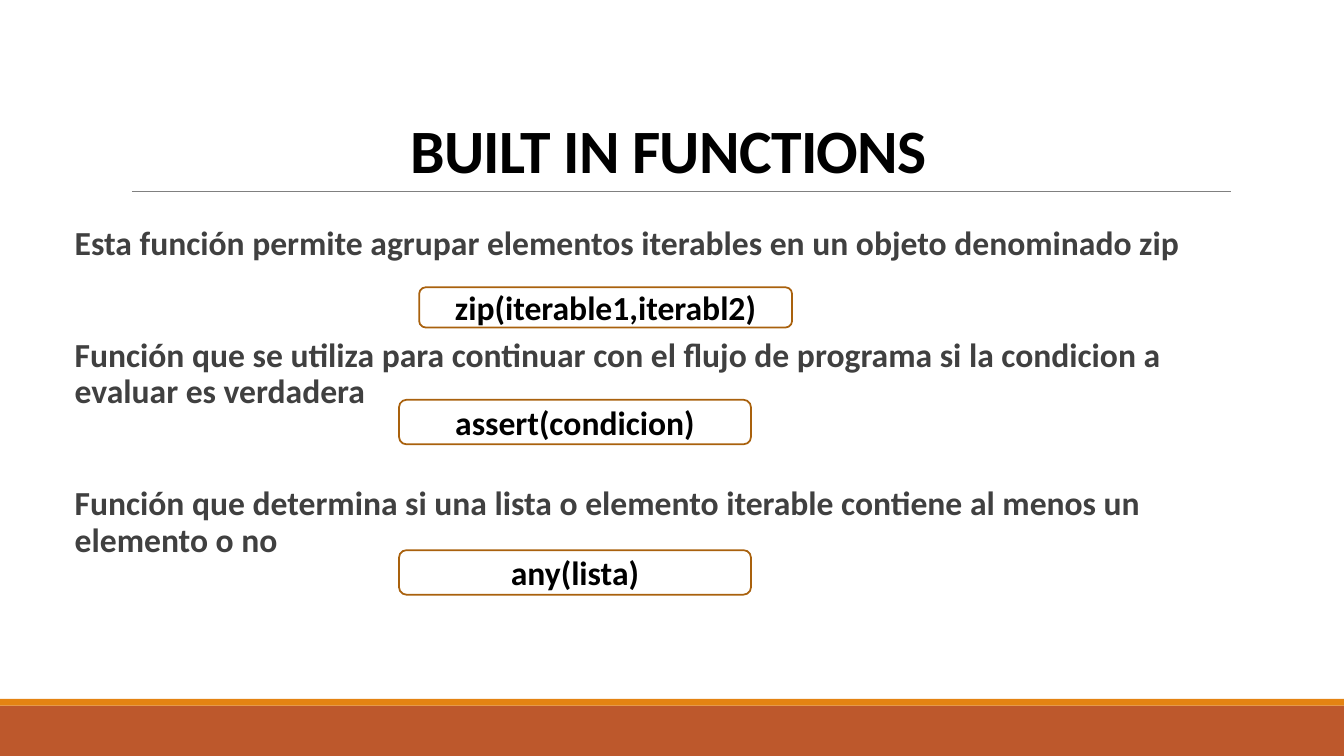
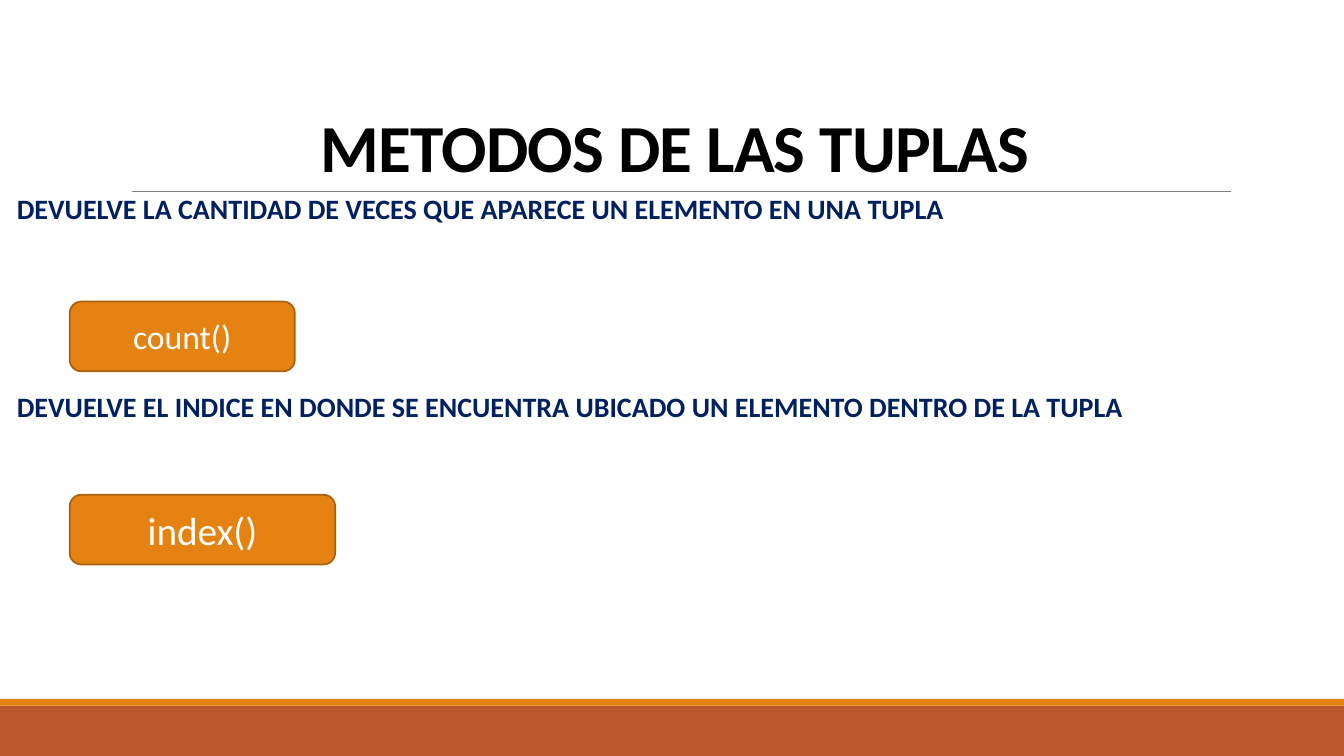
import dataclasses
import pptx
import pptx.util
import pptx.dml.color
import pptx.enum.shapes
import pptx.enum.text
import lxml.etree

COLS, ROWS = 160, 90
SHAPE = pptx.enum.shapes.MSO_SHAPE
ALIGN = pptx.enum.text.PP_ALIGN
ANCHOR = pptx.enum.text.MSO_ANCHOR


@dataclasses.dataclass(frozen=True)
class Theme:
    font: str = "Calibri"
    band: str = "BD582C"
    accent: str = "E48312"
    edge: str = "A9610D"
    rule: str = "808080"
    black: str = "000000"
    white: str = "FFFFFF"
    gray: str = "404040"
    navy: str = "002060"
    small: int = 20
    text: int = 24
    large: int = 28
    head: int = 44
    title: int = 48
    thin: float = 0.5
    line: float = 1.25


def color(code):
    return pptx.dml.color.RGBColor.from_string(code)


class Deck:
    def __init__(self, theme):
        self.theme = theme
        self.show = pptx.Presentation()
        self.show.slide_width = pptx.util.Inches(13.33)
        self.show.slide_height = pptx.util.Inches(7.5)
        self.slide = None

    def place(self, x, y, w, h):
        col = self.show.slide_width / COLS
        row = self.show.slide_height / ROWS
        return [round(n) for n in (x * col, y * row, w * col, h * row)]

    def style(self, para, size, ink, bold):
        font = para.font
        font.name = self.theme.font
        font.size = pptx.util.Pt(size)
        font.color.rgb = color(ink)
        font.bold = bold

    def page(self, title, size):
        theme = self.theme
        self.slide = self.show.slides.add_slide(self.show.slide_layouts[6])
        self.shape(SHAPE.RECTANGLE, (0, 84, COLS, 6), theme.band)
        self.shape(SHAPE.RECTANGLE, (0, 83.2, COLS, 0.8), theme.accent)
        self.rule(15.7, 146.5, 22.8)
        self.title(title, size)

    def shape(self, kind, area, fill=None, edge=None):
        shape = self.slide.shapes.add_shape(kind, *self.place(*area))
        shape.shadow.inherit = False
        if fill:
            shape.fill.solid()
            shape.fill.fore_color.rgb = color(fill)
        else:
            shape.fill.background()
        if edge:
            shape.line.color.rgb = color(edge)
            shape.line.width = pptx.util.Pt(self.theme.line)
        else:
            shape.line.fill.background()
        return shape

    def rule(self, left, right, y):
        x, top, width, _ = self.place(left, y, right - left, 0)
        line = self.slide.shapes.add_connector(
            pptx.enum.shapes.MSO_CONNECTOR.STRAIGHT, x, top, x + width, top)
        line.line.color.rgb = color(self.theme.rule)
        line.line.width = pptx.util.Pt(self.theme.thin)
        lxml.etree.SubElement(line._element.spPr, pptx.oxml.ns.qn("a:effectLst"))

    def frame(self, area):
        frame = self.slide.shapes.add_textbox(*self.place(*area)).text_frame
        frame.word_wrap = True
        return frame

    def title(self, text, size):
        frame = self.frame((14.4, 3.7, 132, 19.1))
        frame.vertical_anchor = ANCHOR.BOTTOM
        para = frame.paragraphs[0]
        para.alignment = ALIGN.CENTER
        para.line_spacing = 0.85
        self.style(para, size, self.theme.black, True)
        run = para.add_run()
        run.text = text
        run.font._element.set("spc", "-50")

    def body(self, area, lines, size, ink, gap):
        frame = self.frame(area)
        frame.margin_left = frame.margin_right = 0
        for i, line in enumerate(lines):
            para = frame.add_paragraph() if i else frame.paragraphs[0]
            para.text = line
            para.line_spacing = 0.9
            para.space_before = pptx.util.Pt(gap if i else 0)
            self.style(para, size, ink, True)

    def code(self, area, text, size, ink, fill=None, bold=False):
        box = self.shape(SHAPE.ROUNDED_RECTANGLE, area, fill, self.theme.edge)
        frame = box.text_frame
        frame.word_wrap = True
        frame.vertical_anchor = ANCHOR.MIDDLE
        para = frame.paragraphs[0]
        para.text = text
        para.alignment = ALIGN.CENTER
        self.style(para, size, ink, bold)


def main():
    theme = Theme()
    deck = Deck(theme)

    deck.page("BUILT IN FUNCTIONS ", theme.head)
    deck.body((8.9, 26.4, 136.4, 50), [
        "Esta función permite agrupar elementos iterables en un objeto denominado zip",
        "Función que se utiliza para continuar con el flujo de programa si la condicion a evaluar es verdadera",
        "Función que determina si una lista o elemento iterable contiene al menos un elemento o no",
    ], theme.text, theme.gray, 54)
    for area, text in [
        ((49.9, 34.2, 44.4, 4.8), "zip(iterable1,iterabl2)"),
        ((47.5, 47.6, 41.9, 5.3), "assert(condicion)"),
        ((47.5, 65.5, 41.9, 5.3), "any(lista)"),
    ]:
        deck.code(area, text, theme.text, theme.black, bold=True)

    deck.page("METODOS DE LAS TUPLAS", theme.title)
    deck.body((2, 22.6, 150.4, 54.4), [
        "DEVUELVE LA CANTIDAD DE VECES QUE APARECE UN ELEMENTO EN UNA TUPLA",
        "DEVUELVE EL INDICE EN DONDE SE ENCUENTRA UBICADO UN ELEMENTO DENTRO DE LA TUPLA",
    ], theme.small, theme.navy, 120)
    for y, width, text, size in [
        (35.9, 26.8, "count()", theme.text),
        (58.9, 31.6, "index()", theme.large),
    ]:
        deck.code((8.3, y, width, 8.3), text, size, theme.white, theme.accent)

    deck.show.save("out.pptx")


if __name__ == "__main__":
    main()
